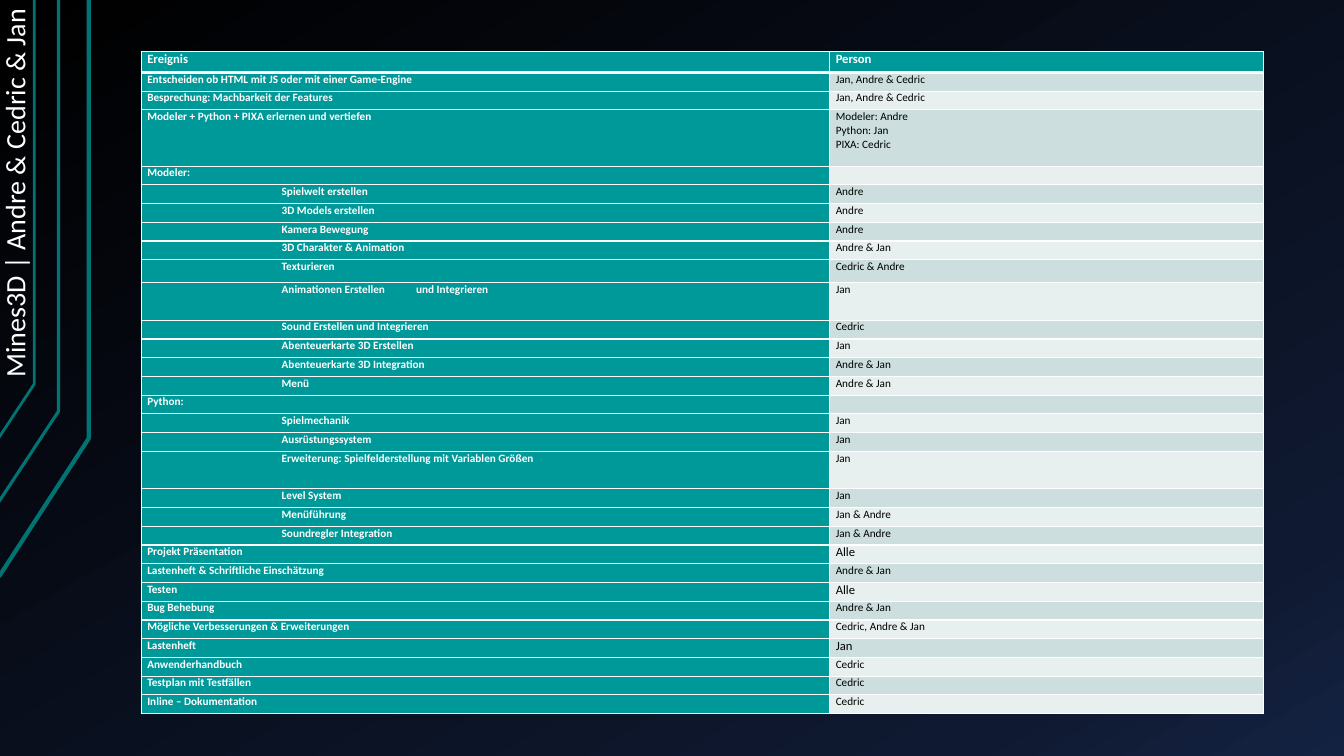
from dataclasses import dataclass

from lxml import etree
from pptx import Presentation
from pptx.dml.color import RGBColor
from pptx.enum.text import MSO_AUTO_SIZE
from pptx.oxml import parse_xml
from pptx.oxml.ns import nsdecls, qn
from pptx.util import Pt

GROW_SHAPE = MSO_AUTO_SIZE.SHAPE_TO_FIT_TEXT


@dataclass(frozen=True)
class Theme:
    font: str = "Calibri"
    white: str = "FFFFFF"
    black: str = "000000"
    teal: str = "009999"
    stripe: str = "007373"
    bands: tuple = ("CCDEDE", "E7EFEF")
    backdrop: tuple = ((0, "000000"), (85, "0F1931"), (100, "142242"))
    title_size: float = 20
    large_size: float = 9
    body_size: float = 8


THEME = Theme()


def add_run(paragraph, text, size, color, bold=False):
    run = paragraph.add_run()
    run.text = text
    run.font.name = THEME.font
    run.font.size = Pt(size)
    run.font.bold = bold
    run.font.color.rgb = RGBColor.from_string(color)


def set_borders(cell, bottom_width):
    properties = cell._tc.get_or_add_tcPr()
    widths = {"lnL": 1, "lnR": 1, "lnT": 1, "lnB": bottom_width}
    for position, (side, width) in enumerate(widths.items()):
        properties.insert(position, parse_xml(
            f'<a:{side} {nsdecls("a")} w="{Pt(width)}"><a:solidFill>'
            f'<a:srgbClr val="{THEME.white}"/></a:solidFill></a:{side}>'))


presentation = Presentation()
presentation.slide_width = Pt(960)
presentation.slide_height = Pt(540)
slide = presentation.slides.add_slide(presentation.slide_layouts[6])

# Background gradient
slide.background.fill.solid()
background = slide.element.find(".//" + qn("p:bgPr"))
stops = "".join(
    f'<a:gs pos="{percent * 1000}"><a:srgbClr val="{color}"/></a:gs>'
    for percent, color in THEME.backdrop)
background.replace(background[0], parse_xml(
    f'<a:gradFill {nsdecls("a")} rotWithShape="1"><a:gsLst>{stops}</a:gsLst>'
    '<a:lin ang="3600000" scaled="0"/></a:gradFill>'))

# Bent stripes at the left edge: foot x, foot y, bend x, bend y, line width
STRIPES = [
    (-0.7, 411.8, 63.4, 313.2, 3),
    (-1.4, 359.3, 41.8, 293.8, 2.25),
    (-0.7, 312.5, 24.5, 274.3, 2),
]
for foot_x, foot_y, bend_x, bend_y, width in STRIPES:
    builder = slide.shapes.build_freeform(Pt(foot_x), Pt(foot_y))
    builder.add_line_segments(
        [(Pt(bend_x), Pt(bend_y)), (Pt(bend_x), 0)], close=False)
    stripe = builder.convert_to_shape()
    stripe.shadow.inherit = False
    stripe.fill.background()
    stripe.line.color.rgb = RGBColor.from_string(THEME.stripe)
    stripe.line.width = Pt(width)

# Vertical title
title = slide.shapes.add_textbox(Pt(-132.5), Pt(118.1), Pt(285.8), Pt(31.7))
title.rotation = 270
title.text_frame.word_wrap = True
title.text_frame.auto_size = GROW_SHAPE
add_run(title.text_frame.paragraphs[0], "Mines3D | Andre & Cedric & Jan",
        THEME.title_size, THEME.white)

# Task table: task, person, row height, size of the person text
LINE = 13.4
BODY, LARGE = THEME.body_size, THEME.large_size
TASKS = [
    ("Ereignis", "Person", 15, LARGE),
    ("Entscheiden ob HTML mit JS oder mit einer Game-Engine",
     "Jan, Andre & Cedric", LINE, BODY),
    ("Besprechung: Machbarkeit der Features", "Jan, Andre & Cedric", LINE, BODY),
    ("Modeler + Python + PIXA erlernen und vertiefen",
     "Modeler: Andre\nPython: Jan\nPIXA: Cedric", 3 * LINE, BODY),
    ("Modeler:", "", LINE, BODY),
    ("\tSpielwelt erstellen", "Andre", LINE, BODY),
    ("\t3D Models erstellen", "Andre", LINE, BODY),
    ("\tKamera Bewegung", "Andre", LINE, BODY),
    ("\t3D Charakter & Animation", "Andre & Jan", LINE, BODY),
    ("\tTexturieren", "Cedric & Andre", 16.4, BODY),
    ("\tAnimationen Erstellen\tund Integrieren", "Jan", 2 * LINE, BODY),
    ("\tSound Erstellen und Integrieren", "Cedric", LINE, BODY),
    ("\tAbenteuerkarte 3D Erstellen", "Jan", LINE, BODY),
    ("\tAbenteuerkarte 3D Integration", "Andre & Jan", LINE, BODY),
    ("\tMenü", "Andre & Jan", LINE, BODY),
    ("Python:", "", LINE, BODY),
    ("\tSpielmechanik", "Jan", LINE, BODY),
    ("\tAusrüstungssystem", "Jan", LINE, BODY),
    ("\tErweiterung: Spielfelderstellung mit Variablen Größen",
     "Jan", 2 * LINE, BODY),
    ("\tLevel System", "Jan", LINE, BODY),
    ("\tMenüführung", "Jan & Andre", LINE, BODY),
    ("\tSoundregler Integration", "Jan & Andre", LINE, BODY),
    ("Projekt Präsentation", "Alle", LINE, LARGE),
    ("Lastenheft & Schriftliche Einschätzung", "Andre & Jan", LINE, BODY),
    ("Testen", "Alle", LINE, LARGE),
    ("Bug Behebung", "Andre & Jan", LINE, BODY),
    ("Mögliche Verbesserungen & Erweiterungen", "Cedric, Andre & Jan", LINE, BODY),
    ("Lastenheft", "Jan", LINE, LARGE),
    ("Anwenderhandbuch", "Cedric", LINE, BODY),
    ("Testplan mit Testfällen", "Cedric", LINE, BODY),
    ("Inline – Dokumentation", "Cedric", LINE, BODY),
]
COLUMN_WIDTHS = (491.8, 309.6)
TAB_STEP = 96

table = slide.shapes.add_table(
    len(TASKS), len(COLUMN_WIDTHS), Pt(100.9), Pt(36.7),
    Pt(sum(COLUMN_WIDTHS)), Pt(sum(task[2] for task in TASKS))).table
for column, width in zip(table.columns, COLUMN_WIDTHS):
    column.width = Pt(width)

for row_index, (task, person, height, person_size) in enumerate(TASKS):
    table.rows[row_index].height = Pt(height)
    is_header = row_index == 0
    for column_index, text in enumerate((task, person)):
        cell = table.cell(row_index, column_index)
        is_teal = is_header or column_index == 0
        fill = THEME.teal if is_teal else THEME.bands[(row_index - 1) % 2]
        color = THEME.white if is_teal else THEME.black
        size = person_size if is_header or column_index == 1 else BODY
        cell.fill.solid()
        cell.fill.fore_color.rgb = RGBColor.from_string(fill)
        cell.margin_left = cell.margin_right = Pt(4.3)
        cell.margin_top = cell.margin_bottom = 0
        set_borders(cell, 3 if is_header else 1)

        for line_index, line in enumerate(text.split("\n")):
            frame = cell.text_frame
            paragraph = frame.add_paragraph() if line_index else frame.paragraphs[0]
            if line:
                add_run(paragraph, line, size, color, is_teal)
            else:
                # Small type keeps an empty cell from growing its row
                etree.SubElement(paragraph._p, qn("a:endParaRPr"), sz=str(size * 100))
            if "\t" in line:
                tabs = etree.SubElement(
                    paragraph._p.get_or_add_pPr(), qn("a:tabLst"))
                for step in range(1, line.count("\t") + 1):
                    etree.SubElement(tabs, qn("a:tab"),
                                     pos=str(Pt(TAB_STEP * step)), algn="l")

presentation.save("out.pptx")
